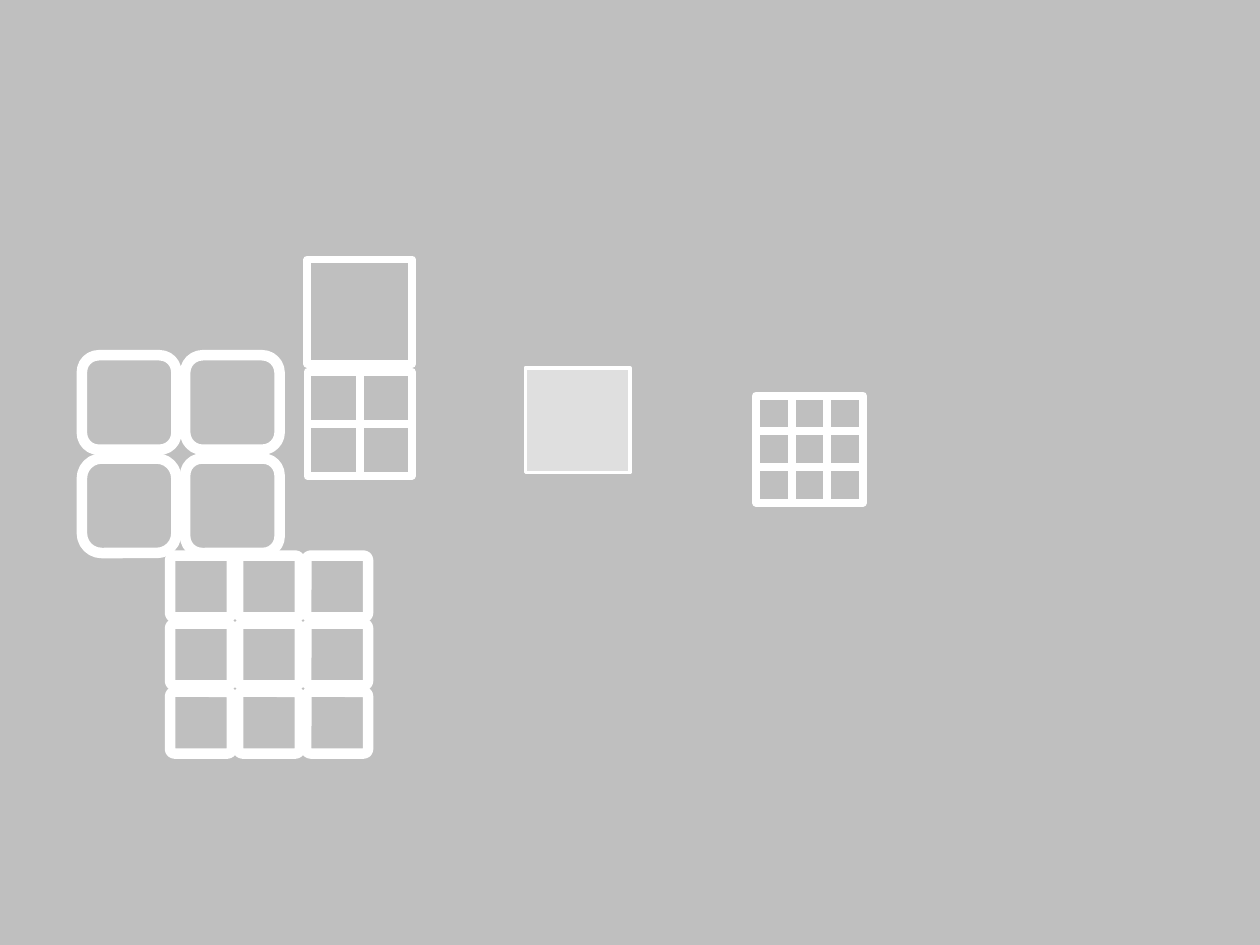
"""Build a grey slide of white square-grid icons."""
from dataclasses import dataclass
from itertools import product

from lxml.etree import SubElement
from pptx import Presentation
from pptx.dml.color import RGBColor
from pptx.enum.shapes import MSO_SHAPE as SHAPE
from pptx.oxml.ns import qn
from pptx.util import Pt

GREY = RGBColor(0xBF, 0xBF, 0xBF)
WHITE = RGBColor(0xFF, 0xFF, 0xFF)


@dataclass(frozen=True)
class Grid:
    left: float
    top: float
    cell: float
    line: float
    count: int = 1
    gap: float = 0
    corners: tuple[float, ...] = ()
    opacity: int = 0


GRIDS = (
    Grid(46.8, 203, 54, 6, 2, 5, (0.178, 0.185, 0.209, 0.178)),
    Grid(97.2, 317.5, 35.3, 6, 3, 3.6, (0.069,) * 9),
    Grid(175.7, 148.3, 59.8, 4.5),
    Grid(175.7, 212.4, 29.8, 4.5, 2),
    Grid(432, 226.1, 20.4, 4.5, 3),
    Grid(300.2, 210.2, 59.8, 2, opacity=50),
)


def set_fill(sp, opacity: int) -> None:
    if not opacity:
        sp.fill.background()
        return
    sp.fill.solid()
    sp.fill.fore_color.rgb = WHITE
    color = sp._element.spPr.find(qn("a:solidFill")).find(qn("a:srgbClr"))
    SubElement(color, qn("a:alpha"), val=str(opacity * 1000))


def draw_grid(shapes, grid: Grid) -> None:
    if grid.count > 1:
        shapes = shapes.add_group_shape().shapes
    kind = SHAPE.ROUNDED_RECTANGLE if grid.corners else SHAPE.RECTANGLE
    pitch = grid.cell + grid.gap
    for i, (row, col) in enumerate(product(range(grid.count), repeat=2)):
        sp = shapes.add_shape(kind, Pt(grid.left + col * pitch), Pt(grid.top + row * pitch),
                              Pt(grid.cell), Pt(grid.cell))
        if grid.corners:
            sp.adjustments[0] = grid.corners[i]
        sp.shadow.inherit = False
        set_fill(sp, grid.opacity)
        sp.line.color.rgb = WHITE
        sp.line.width = Pt(grid.line)


def main() -> None:
    prs = Presentation()
    for name, value in {"slide_width": Pt(720), "slide_height": Pt(540)}.items():
        setattr(prs, name, value)
    s = prs.slides.add_slide(prs.slide_layouts.get_by_name("Blank"))
    s.background.fill.solid()
    s.background.fill.fore_color.rgb = GREY
    for grid in GRIDS:
        draw_grid(s.shapes, grid)
    prs.save("out.pptx")


if __name__ == "__main__":
    main()
